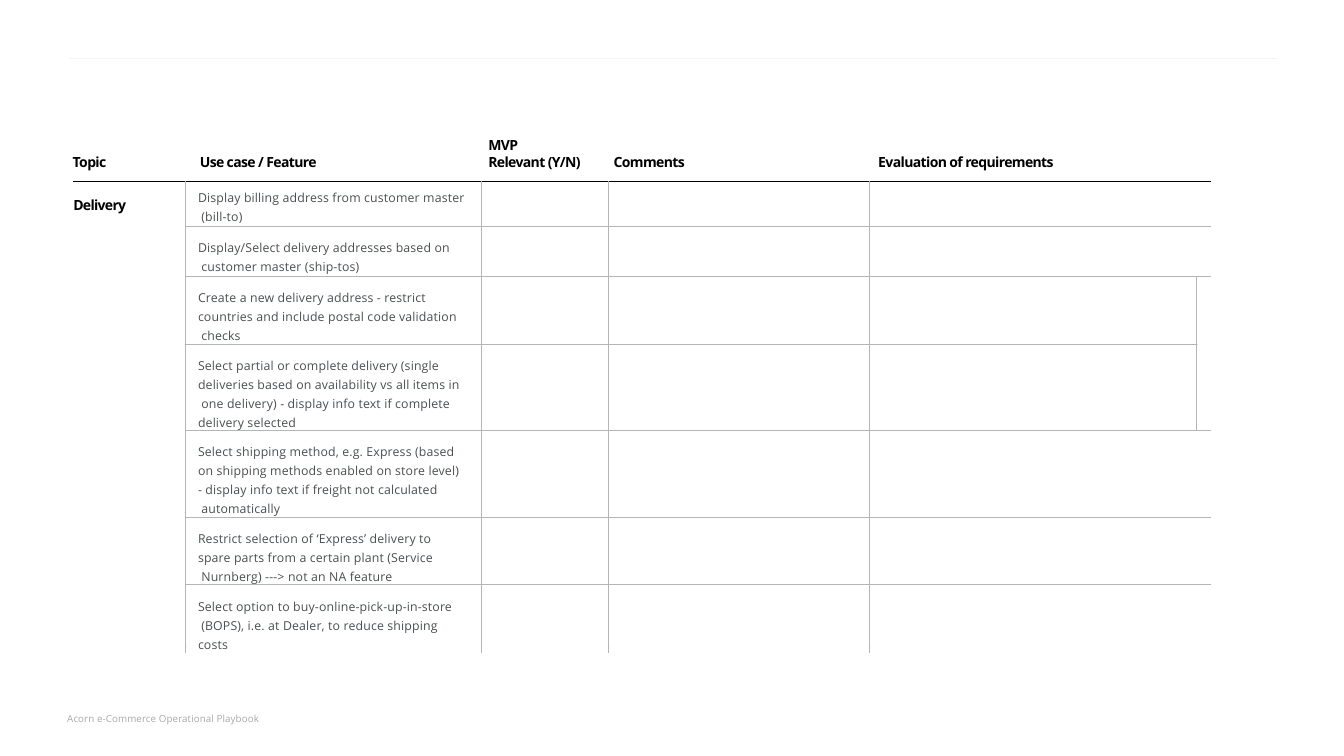
from lxml import etree
from pptx import Presentation
from pptx.dml.color import RGBColor
from pptx.enum.shapes import MSO_CONNECTOR, MSO_SHAPE
from pptx.oxml.ns import qn
from pptx.util import Pt

PX = 9144  # EMU per px, 100 px to the inch
STRAIGHT = MSO_CONNECTOR.STRAIGHT
OVAL = MSO_SHAPE.OVAL
BLANK_LAYOUT = 6
FONT = "Open Sans"
COLORS = {"heading": "000000", "body": "4B4F51", "footer": "A7A8AA",
          "rule": "F4F4F4", "grid": "B4B5B7", "top": "000101"}

# left, top, width, height, lines
HEADINGS = [
    (118, 251, 62, 30, ["Topic"]),
    (326, 251, 207, 30, ["Use case / Feature"]),
    (798, 223, 161, 58, ["MVP", "Relevant (Y/N)"]),
    (1003, 251, 124, 30, ["Comments"]),
    (1436, 251, 307, 30, ["Evaluation of requirements"]),
]
COLUMN_WIDTHS = [184, 483, 209, 426, 535, 14]
# row height, space above the text, lines
FEATURES = [
    (74, 10, ["Display billing address from customer master", " (bill-to)"]),
    (82, 18, ["Display/Select delivery addresses based on",
              " customer master (ship-tos)"]),
    (111, 18, ["Create a new delivery address - restrict",
               "countries and include postal code validation", " checks"]),
    (137, 17, ["Select partial or complete delivery (single",
               "deliveries based on availability vs all items in",
               " one delivery) - display info text if complete",
               "delivery selected"]),
    (137, 17, ["Select shipping method, e.g. Express (based",
               "on shipping methods enabled on store level)",
               "- display info text if freight not calculated",
               " automatically"]),
    (109, 17, ["Restrict selection of ‘Express’ delivery to",
               "spare parts from a certain plant (Service",
               " Nurnberg) ---> not an NA feature"]),
    (109, 18, ["Select option to buy-online-pick-up-in-store",
               " (BOPS), i.e. at Dealer, to reduce shipping", "costs"]),
]
BOXED_ROWS = (2, 3)
GRID_DOTS = [(304, 1057), (788, 1057), (996, 1057), (1423, 1057),
             (302, 563), (1959, 563), (303, 701), (302, 838)]


class SlideBuilder:
    def __init__(self, width, height):
        self.presentation = Presentation()
        self.presentation.slide_width = width * PX
        self.presentation.slide_height = height * PX
        layout = self.presentation.slide_layouts[BLANK_LAYOUT]
        self.slide = self.presentation.slides.add_slide(layout)

    def color(self, name):
        return RGBColor.from_string(COLORS[name])

    def add_lines(self, paragraph, lines, size, color, bold=False, tracking=0):
        """Add one run per line; tracking is in hundredths of a point."""
        for number, line in enumerate(lines):
            if number:
                paragraph.add_line_break()
            run = paragraph.add_run()
            run.text = line
            run.font.name = FONT
            run.font.size = Pt(size)
            run.font.bold = bold
            run.font.color.rgb = self.color(color)
            run.font._element.set("spc", str(tracking))

    def set_margins(self, target, left, top):
        target.margin_left, target.margin_top = left * PX, top * PX
        target.margin_right = target.margin_bottom = 0

    def text_box(self, left, top, width, height, lines, size, color,
                 bold=False, tracking=0, inset=1):
        box = self.slide.shapes.add_textbox(
            left * PX, top * PX, width * PX, height * PX)
        frame = box.text_frame
        frame.word_wrap = True
        self.set_margins(frame, 1, inset)
        paragraph = frame.paragraphs[0]
        if len(lines) > 1:
            paragraph.line_spacing = Pt(19.8)
        self.add_lines(paragraph, lines, size, color, bold, tracking)

    def rule(self, left, top, right):
        line = self.slide.shapes.add_connector(
            STRAIGHT, left * PX, top * PX, right * PX, top * PX)
        line.line.color.rgb = self.color("rule")
        line.line.width = Pt(0.5)
        etree.SubElement(line._element.spPr, qn("a:effectLst"))

    def dot(self, left, top):
        shape = self.slide.shapes.add_shape(OVAL, left * PX, top * PX, PX, PX)
        shape.shadow.inherit = False
        shape.fill.solid()
        shape.fill.fore_color.rgb = self.color("grid")
        shape.line.fill.background()

    def set_borders(self, cell, sides):
        """Draw the named sides in their colours and clear the others."""
        properties = cell._tc.get_or_add_tcPr()
        for side in "LRTB":
            line = etree.SubElement(properties, qn(f"a:ln{side}"), w=str(Pt(1)))
            if sides.get(side):
                fill = etree.SubElement(line, qn("a:solidFill"))
                etree.SubElement(fill, qn("a:srgbClr"), val=COLORS[sides[side]])
            else:
                etree.SubElement(line, qn("a:noFill"))
        cell.fill.background()

    def feature_table(self, left, top):
        last_row, last_column = len(FEATURES) - 1, len(COLUMN_WIDTHS) - 1
        heights = [height for height, _, _ in FEATURES]
        table = self.slide.shapes.add_table(
            len(FEATURES), len(COLUMN_WIDTHS), left * PX, top * PX,
            sum(COLUMN_WIDTHS) * PX, sum(heights) * PX).table
        table.first_row = table.horz_banding = False
        for column, width in zip(table.columns, COLUMN_WIDTHS):
            column.width = width * PX

        table.cell(0, 0).merge(table.cell(last_row, 0))
        first, last = BOXED_ROWS
        table.cell(first, last_column).merge(table.cell(last, last_column))

        for row, (height, inset, lines) in enumerate(FEATURES):
            table.rows[row].height = height * PX
            boxed = row in BOXED_ROWS
            if not boxed:
                table.cell(row, last_column - 1).merge(table.cell(row, last_column))
            for column in range(last_column + 1):
                cell = table.cell(row, column)
                if cell.is_spanned:
                    continue
                inner_right = column < last_column - 1
                self.set_borders(cell, {
                    "L": "grid" if column else None,
                    "R": "grid" if inner_right or boxed and column < last_column else None,
                    "T": "grid" if row else "top",
                    "B": "grid" if column and row < last_row else None,
                })
            feature = table.cell(row, 1)
            self.set_margins(feature, 20, inset)
            paragraph = feature.text_frame.paragraphs[0]
            paragraph.line_spacing = 1.14
            self.add_lines(paragraph, lines, 14.5, "body", tracking=16)

        topic = table.cell(0, 0)
        self.set_margins(topic, 0, 24)
        self.add_lines(topic.text_frame.paragraphs[0], ["Delivery"],
                       16.5, "heading", True, -80)


def main():
    builder = SlideBuilder(2199, 1237)
    builder.rule(113, 96, 2089)
    builder.feature_table(120, 296)
    for left, top, width, height, lines in HEADINGS:
        builder.text_box(left, top, width, height, lines, 16.5, "heading", True, -70)
    for left, top in GRID_DOTS:
        builder.dot(left, top)
    builder.text_box(109, 1163, 322, 25, ["Acorn e-Commerce Operational Playbook"],
                     11.5, "footer", tracking=10, inset=3)
    builder.presentation.save("out.pptx")


if __name__ == "__main__":
    main()
